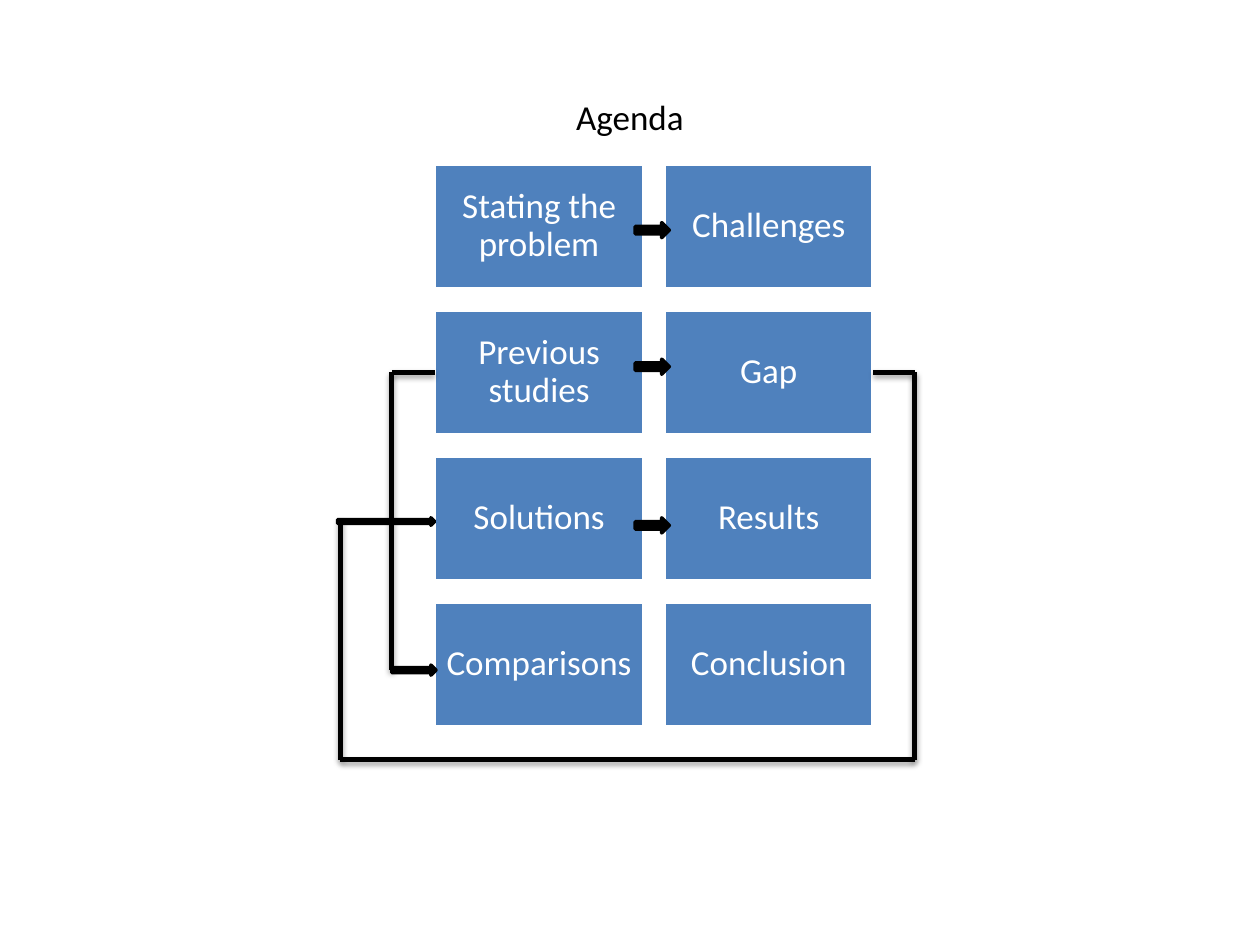
from dataclasses import dataclass

from lxml.etree import SubElement
from pptx import Presentation
from pptx.dml.color import RGBColor
from pptx.enum.shapes import MSO_CONNECTOR, MSO_SHAPE
from pptx.enum.text import MSO_ANCHOR, PP_ALIGN
from pptx.oxml.ns import qn
from pptx.util import Inches, Pt

COLS = 100  # the slide is a grid of 100 columns by 75 square rows


@dataclass(frozen=True)
class Theme:
    font: str = "Calibri"
    size: float = 20
    black: str = "000000"
    white: str = "FFFFFF"
    blue: str = "4F81BD"
    outline: float = 2
    rail: float = 3


@dataclass(frozen=True)
class Box:
    x: float
    y: float
    w: float
    h: float

    @property
    def right(self):
        return self.x + self.w

    @property
    def bottom(self):
        return self.y + self.h

    @property
    def mid(self):
        return self.y + self.h / 2


THEME = Theme()
TOPICS = [
    ("Stating the problem", "Challenges"),
    ("Previous studies", "Gap"),
    ("Solutions", "Results"),
    ("Comparisons", "Conclusion"),
]

prs = Presentation()
prs.slide_width, prs.slide_height = Inches(10), Inches(7.5)
UNIT = prs.slide_width / COLS


def grid(*values):
    return [round(v * UNIT) for v in values]


def write(sp, text, color, inset, spacing):
    tf = sp.text_frame
    frame = dict(word_wrap=True, vertical_anchor=MSO_ANCHOR.MIDDLE)
    frame.update({f"margin_{side}": Inches(inset)
                  for side in ("left", "top", "right", "bottom")})
    for name, value in frame.items():
        setattr(tf, name, value)
    p = tf.paragraphs[0]
    p.alignment, p.line_spacing = PP_ALIGN.CENTER, spacing
    r = p.add_run()
    r.text = text
    for name, value in dict(name=THEME.font, size=Pt(THEME.size)).items():
        setattr(r.font, name, value)
    r.font.color.rgb = RGBColor.from_string(color)


def add_block(slide, kind, box, fill, line):
    sp = slide.shapes.add_shape(kind, *grid(box.x, box.y, box.w, box.h))
    sp.shadow.inherit = False
    sp.fill.solid()
    sp.fill.fore_color.rgb = RGBColor.from_string(fill)
    sp.line.color.rgb = RGBColor.from_string(line)
    sp.line.width = Pt(THEME.outline)
    return sp


def add_arrow(slide, x, mid, w, h):
    box = Box(x, mid - h / 2, w, h)
    add_block(slide, MSO_SHAPE.RIGHT_ARROW, box, THEME.black, THEME.black)


def add_rail(slide, start, end):
    line = slide.shapes.add_connector(MSO_CONNECTOR.STRAIGHT, *grid(*start, *end))
    line.line.color.rgb = RGBColor.from_string(THEME.black)
    line.line.width = Pt(THEME.rail)
    # Soft shadow straight below the line
    effects = SubElement(line._element.spPr, qn("a:effectLst"))
    shadow = SubElement(effects, qn("a:outerShdw"), blurRad=str(Pt(3.1)),
                        dist=str(Pt(1.8)), dir="5400000", rotWithShape="0")
    color = SubElement(shadow, qn("a:srgbClr"), val=THEME.black)
    SubElement(color, qn("a:alpha"), val="35000")
    return line


def add_title(slide, box):
    sp = slide.shapes.add_textbox(*grid(box.x, box.y, box.w, box.h))
    write(sp, "Agenda", THEME.black, 0.1, 1)


def add_topics(slide, box):
    """Two columns of topics; the gap is a tenth of a cell's width."""
    w = box.w / 2.1
    gap = w / 10
    h = (box.h - 3 * gap) / 4
    cells, shapes = [], []
    for row, names in enumerate(TOPICS):
        cells.append([Box(box.x + col * (w + gap), box.y + row * (h + gap), w, h)
                      for col in range(2)])
        shapes.append([])
        for cell, name in zip(cells[-1], names):
            sp = add_block(slide, MSO_SHAPE.RECTANGLE, cell, THEME.blue, THEME.white)
            write(sp, name, THEME.white, 0.08, 0.9)
            shapes[-1].append(sp)
    return cells, shapes


def add_step_arrows(slide, cells):
    """Arrows across the gap, each with its small vertical shift."""
    for (left, _), shift in zip(cells, (0.3, -0.45, 0.55)):
        add_arrow(slide, left.right - 0.65, left.mid + shift, 2.7, 1.2)


def add_feedback(slide, box, cells, shapes):
    # Previous studies to Comparisons, on the left
    inner, top = box.x - 3.4, cells[1][0].mid
    target = cells[3][0].mid + 0.45
    stub = add_rail(slide, (box.x, top), (inner, top))
    stub.begin_connect(shapes[1][0], 1)
    add_rail(slide, (inner, top), (inner, target))
    add_arrow(slide, inner, target, 3.5, 0.8)

    # Gap to Solutions, round the outside
    outer, right, base = box.x - 7.5, box.right + 3.3, box.bottom + 2.6
    target = cells[2][0].mid
    stub = add_rail(slide, (right, top), (box.right, top))
    stub.end_connect(shapes[1][1], 3)
    corners = [(right, top), (right, base), (outer, base), (outer, target)]
    for start, end in zip(corners, corners[1:]):
        add_rail(slide, start, end)
    add_arrow(slide, outer - 0.2, target + 0.25, 7.7, 0.6)


def main():
    slide = prs.slides.add_slide(prs.slide_layouts[6])
    board = Box(34.5, 13, 34.8, 44.7)
    add_title(slide, Box(5, 3, 90, 12.5))
    cells, shapes = add_topics(slide, board)
    add_step_arrows(slide, cells)
    add_feedback(slide, board, cells, shapes)
    prs.save("out.pptx")


if __name__ == "__main__":
    main()
